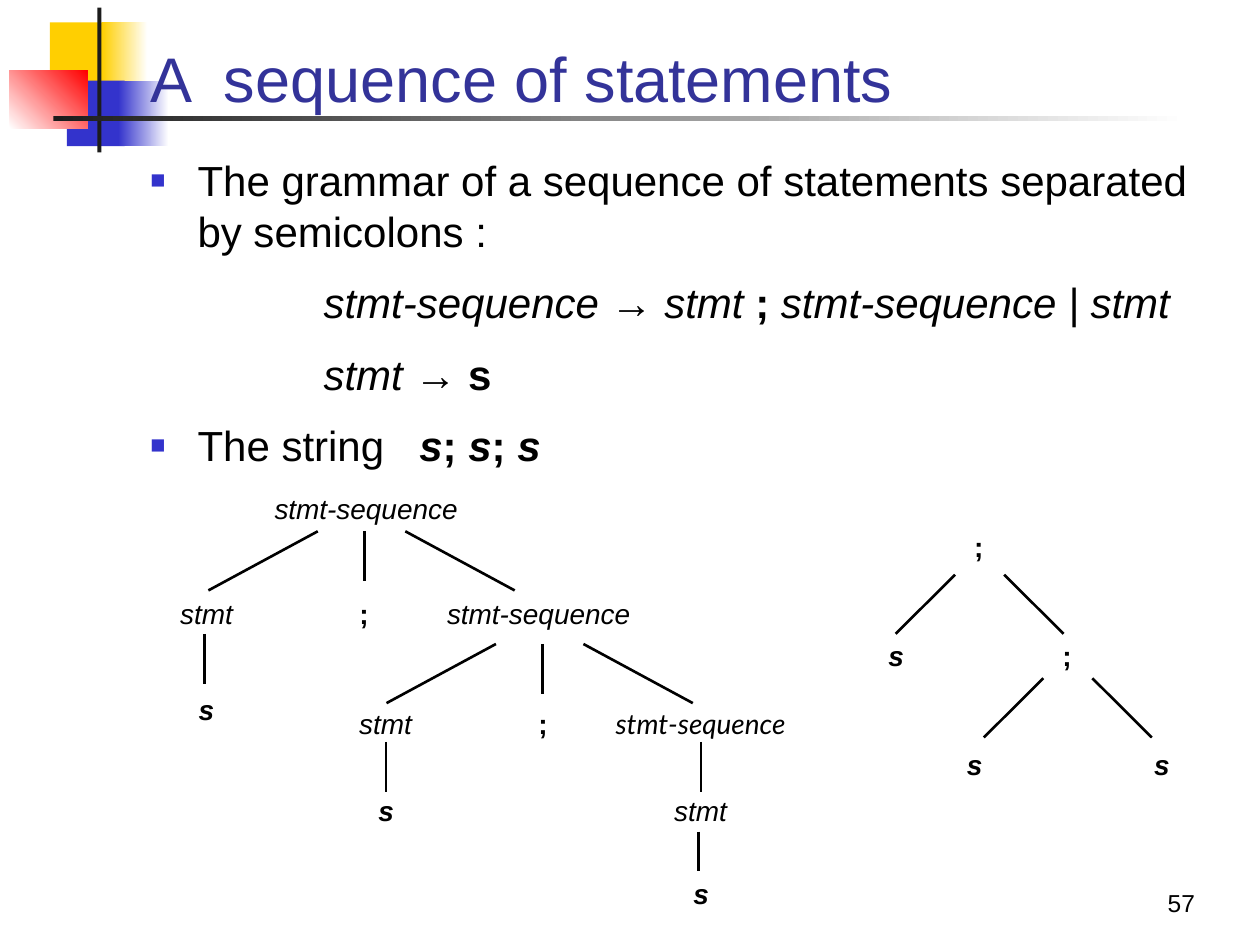
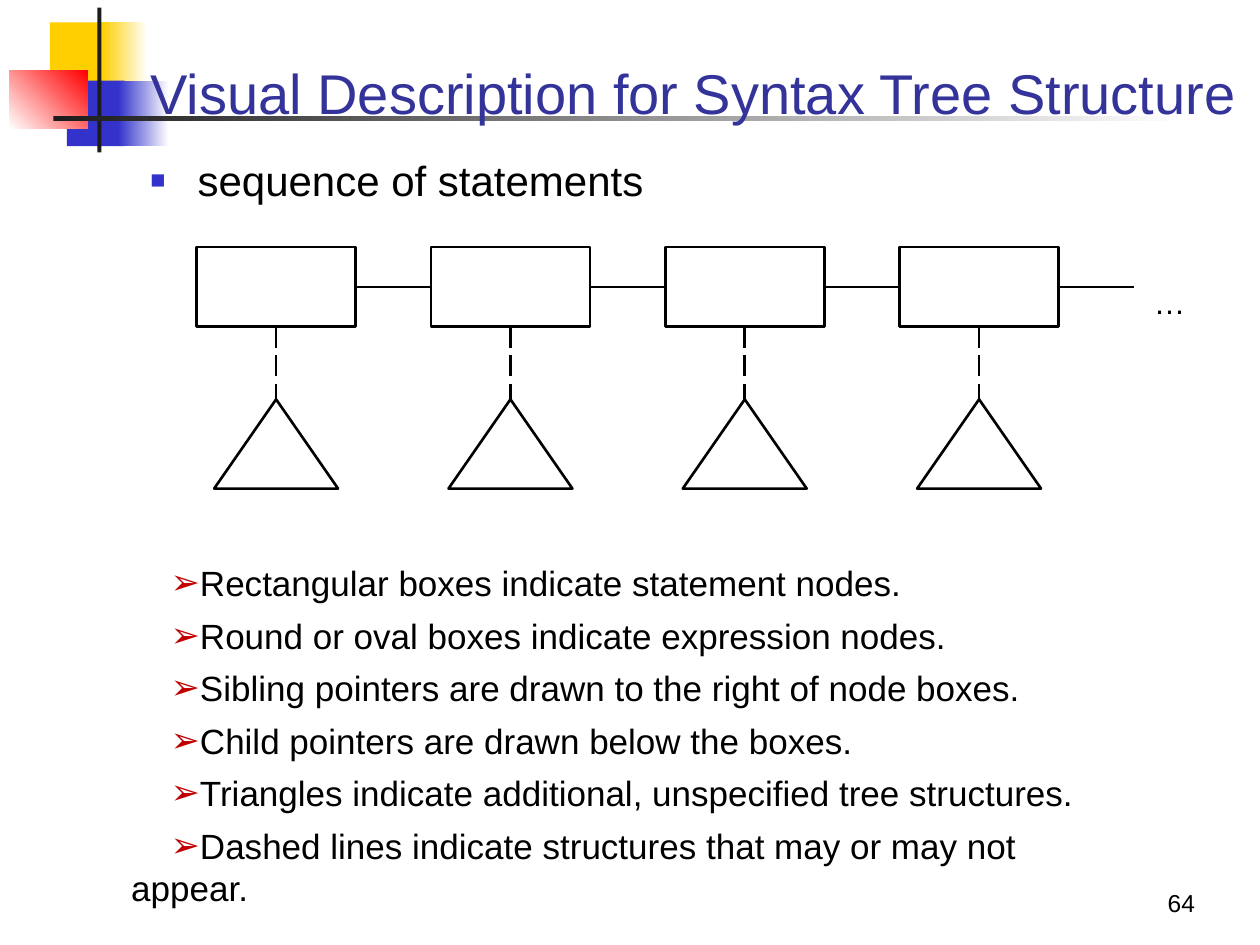
from pptx import Presentation
from pptx.dml.color import RGBColor
from pptx.enum.dml import MSO_LINE as Dash
from pptx.enum.shapes import MSO_CONNECTOR as Conn, MSO_SHAPE as Kind
from pptx.enum.text import MSO_ANCHOR as Anchor, MSO_AUTO_SIZE as Fit, PP_ALIGN as Align
from pptx.oxml import parse_xml
from pptx.oxml.ns import nsdecls
from pptx.util import Pt

BLACK, WHITE, NAVY, BLUE = "000000", "FFFFFF", "333399", "3333CC"
GOLD, RED, DARK, MAROON = "FFCF01", "FF0000", "1C1C1C", "C00000"
FACE = "Arial"
SEQ = "stmt-sequence"
BODY = (78.8, 85, 612, 406)

DECOR = [
    ((28.5, 12.8, 34.5, 37.5), [GOLD], 0),
    ((58.3, 12.8, 26, 37.5), [GOLD, WHITE], 0),
    ((38.2, 46, 33, 37.5), [BLUE], 0),
    ((67.7, 46, 28.8, 37.5), [BLUE, WHITE], 0),
    ((5.5, 40.3, 44.5, 33.2), [WHITE, RED], 45),
    ((55.6, 4.3, 2.4, 82.8), [DARK], 0),
    ((30.5, 66.4, 648, 2.7), [DARK, WHITE], 0),
]
GRAMMAR = [
    ([("The grammar of a sequence of statements separated by semicolons :", "")], True),
    ([("stmt-sequence ", "i"), ("→ ", ""), ("stmt ", "i"), ("; ", "b"),
      ("stmt-sequence | stmt", "i")], False),
    ([("stmt ", "i"), ("→ ", ""), ("s", "b")], False),
    ([("The string   ", ""), ("s", "bi"), ("; ", "b"), ("s", "bi"), (";", "b"),
      (" s", "bi")], True),
]
NODES = [
    (SEQ, 209.2, 281.2), ("stmt", 118, 341.3), (";", 208, 341.3), (SEQ, 307.8, 341.3),
    ("s", 118, 396), ("stmt", 220.3, 404), (";", 310.3, 404),
    ("s", 220.7, 453.6), ("stmt", 400.3, 453.6), ("s", 400.7, 501),
    (";", 559.3, 303), ("s", 512, 365), (";", 609.7, 365), ("s", 557, 427.2), ("s", 664, 427.2),
]
STEMS = [(208.3, 303.6, 28.5), (310, 368, 28.5), (116.9, 362.2, 28.5),
         (220.5, 424, 28.5), (400.5, 424, 28.5), (399.3, 475.2, 22.3)]
FORKS = [(206.6, 303.6, 25, 87.5), (308.4, 368, 25, 87.5),
         (559.8, 328.4, 14, 48), (610.2, 387.6, 14, 48)]
RULES = [
    "Rectangular boxes indicate statement nodes.",
    "Round or oval boxes indicate expression nodes.",
    "Sibling pointers are drawn to the right of node boxes.",
    "Child pointers are drawn below the boxes.",
    "Triangles indicate additional, unspecified tree structures.",
    "Dashed lines indicate structures that may or may not appear.",
]


def color(code):
    """Turn a hex string into a colour."""
    return RGBColor.from_string(code)


def place(shape, spot):
    """Move a shape to left, top, width, height."""
    shape.left, shape.top, shape.width, shape.height = map(Pt, spot)


def write(para, text, size, style="", tint=BLACK, face=FACE):
    """Add one run; style holds b for bold and i for italic."""
    run = para.add_run()
    run.text = text
    font = run.font
    font.name, font.size = face, Pt(size)
    font.bold, font.italic = "b" in style, "i" in style
    font.color.rgb = color(tint)


def indent(para, left, first, mark="", tint=BLACK, scale=100):
    """Set the indents of a paragraph and its bullet, if any."""
    props = para._p.get_or_add_pPr()
    props.set("marL", str(Pt(left)))
    props.set("indent", str(Pt(first)))
    if mark:
        for part in (f'buClr {nsdecls("a")}><a:srgbClr val="{tint}"/></a:buClr',
                     f'buSzPct {nsdecls("a")} val="{scale * 1000}"/',
                     f'buFont {nsdecls("a")} typeface="{FACE}"/',
                     f'buChar {nsdecls("a")} char="{mark}"/'):
            props.append(parse_xml(f"<a:{part}>"))


def textbox(slide, spot, wrap=True, grow=False):
    """Add an empty text box and give its frame."""
    frame = slide.shapes.add_textbox(*map(Pt, spot)).text_frame
    frame.word_wrap = wrap
    frame.auto_size = Fit.SHAPE_TO_FIT_TEXT if grow else Fit.NONE
    return frame


def paras(frame, count, gap):
    """Yield evenly spaced paragraphs of a frame."""
    for num in range(count):
        para = frame.add_paragraph() if num else frame.paragraphs[0]
        para.space_before = Pt(gap if num else 0)
        yield para


def decor(slide, layout):
    """Put the corner blocks and rules on the layout."""
    for spot, tints, angle in DECOR:
        block = slide.shapes.add_shape(Kind.RECTANGLE, *map(Pt, spot))
        block.shadow.inherit = False
        block.line.fill.background()
        if len(tints) == 1:
            block.fill.solid()
            block.fill.fore_color.rgb = color(tints[0])
        else:
            block.fill.gradient()
            block.fill.gradient_angle = angle
            for stop, tint in zip(block.fill.gradient_stops, tints):
                stop.color.rgb = color(tint)
        layout.shapes.element.append(block.element)


def start(deck, layout, title, size, spot, number):
    """Add a slide with its title and number."""
    slide = deck.slides.add_slide(layout)
    head = slide.shapes.title
    place(head, spot)
    frame = head.text_frame
    frame.word_wrap, frame.auto_size = True, Fit.NONE
    frame.vertical_anchor = Anchor.BOTTOM
    para = frame.paragraphs[0]
    para.alignment, para.line_spacing = Align.LEFT, 0.85
    write(para, title, size, tint=NAVY)
    foot = textbox(slide, (540, 491.8, 150, 36))
    foot.vertical_anchor = Anchor.BOTTOM
    foot.paragraphs[0].alignment = Align.RIGHT
    write(foot.paragraphs[0], number, 14)
    return slide


def body(slide, items):
    """Add the main text: bulleted points and indented rules."""
    frame = textbox(slide, BODY)
    for para, (runs, point) in zip(paras(frame, len(items), 12), items):
        if point:
            indent(para, 27, -27, "■", BLUE, 60)
        else:
            indent(para, 99, 0)
        for text, style in runs:
            write(para, text, 24, style)


def node(slide, text, mid, top, face=FACE):
    """Add a tree label centred on mid."""
    wide = 140 if text == SEQ else 68
    frame = textbox(slide, (mid - wide / 2, top, wide, 23), grow=True)
    para = frame.paragraphs[0]
    para.alignment, para.line_spacing = Align.CENTER, 0.8
    style = {"s": "bi", ";": "b"}.get(text, "i")
    write(para, text, 16, style, face=face)


def line(slide, left, top, right, low):
    """Add a thin black line."""
    link = slide.shapes.add_connector(Conn.STRAIGHT, *map(Pt, (left, top, right, low)))
    link.line.color.rgb = color(BLACK)
    link.line.width = Pt(1.5)
    link.element.spPr.append(parse_xml(f'<a:effectLst {nsdecls("a")}/>'))
    return link


def join(slide, one, side, two, end):
    """Link a side of one shape to a side of another."""
    link = line(slide, 0, 0, 0, 0)
    link.begin_connect(one, side)
    link.end_connect(two, end)
    return link


def outline(slide, kind, spot):
    """Add an unfilled shape with a black edge."""
    shape = slide.shapes.add_shape(kind, *map(Pt, spot))
    shape.shadow.inherit = False
    shape.fill.background()
    shape.line.color.rgb = color(BLACK)
    shape.line.width = Pt(1.5)
    return shape


def trees(slide):
    """Draw the parse tree and the syntax tree."""
    for left, top, drop in STEMS:
        line(slide, left, top, left, top + drop)
    for mid, top, near, far in FORKS:
        for sign in (-1, 1):
            line(slide, mid + sign * near, top, mid + sign * far, top + 33.8)
    for text, mid, top in NODES:
        node(slide, text, mid, top)
    node(slide, SEQ, 400.3, 404, "Lato")


def chain(slide):
    """Draw the linked statement boxes with their subtrees."""
    last = None
    for num in range(4):
        left = 112.4 + 133.9 * num
        box = outline(slide, Kind.RECTANGLE, (left, 141.2, 90.8, 45.4))
        tree = outline(slide, Kind.ISOSCELES_TRIANGLE, (left + 10, 228.2, 70.8, 51))
        join(slide, box, 2, tree, 0).line.dash_style = Dash.LONG_DASH
        if last:
            join(slide, last, 3, box, 1)
        last = box
    line(slide, 604.9, 163.9, 648, 163.9).begin_connect(last, 3)
    dots = textbox(slide, (652.3, 158.4, 32.4, 28.8), wrap=False, grow=True)
    write(dots.paragraphs[0], "…", 18)


def legend(slide):
    """List the drawing rules."""
    frame = textbox(slide, (50.4, 317.5, 574, 183), grow=True)
    for para, text in zip(paras(frame, len(RULES), 6), RULES):
        indent(para, 17.5, 22.5, "➢", MAROON)
        write(para, text, 20)


def main():
    """Build and save the deck."""
    deck = Presentation()
    deck.slide_width, deck.slide_height = Pt(720), Pt(540)
    layout = deck.slide_layouts[5]
    for holder in list(layout.placeholders)[1:]:
        layout.shapes.element.remove(holder.element)

    slide = start(deck, layout, "A  sequence of statements", 36,
                  (78.8, 15, 613.5, 54.8), "57")
    decor(slide, layout)
    body(slide, GRAMMAR)
    trees(slide)

    slide = start(deck, layout, "Visual Description for Syntax Tree Structure", 32,
                  (78.8, 15, 641.2, 60.6), "64")
    body(slide, [([("sequence of statements", "")], True)])
    chain(slide)
    legend(slide)
    deck.save("out.pptx")


if __name__ == "__main__":
    main()
